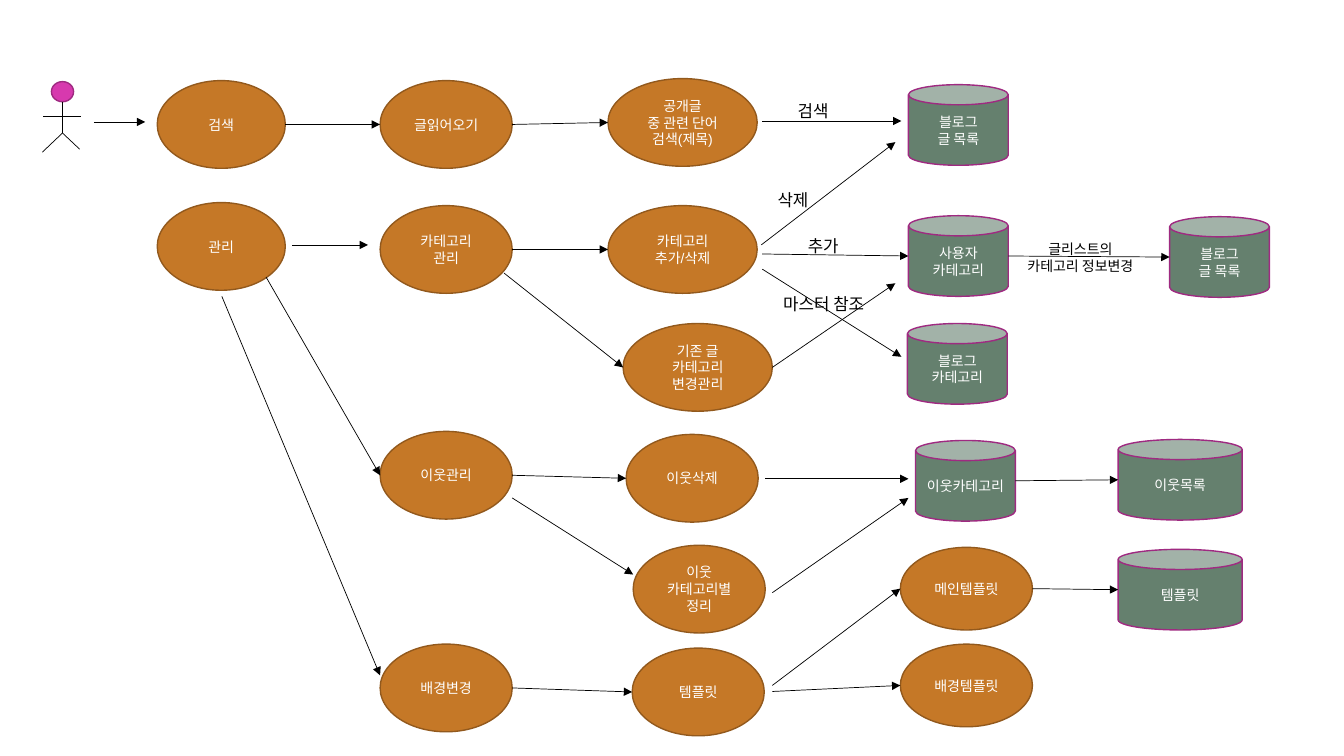
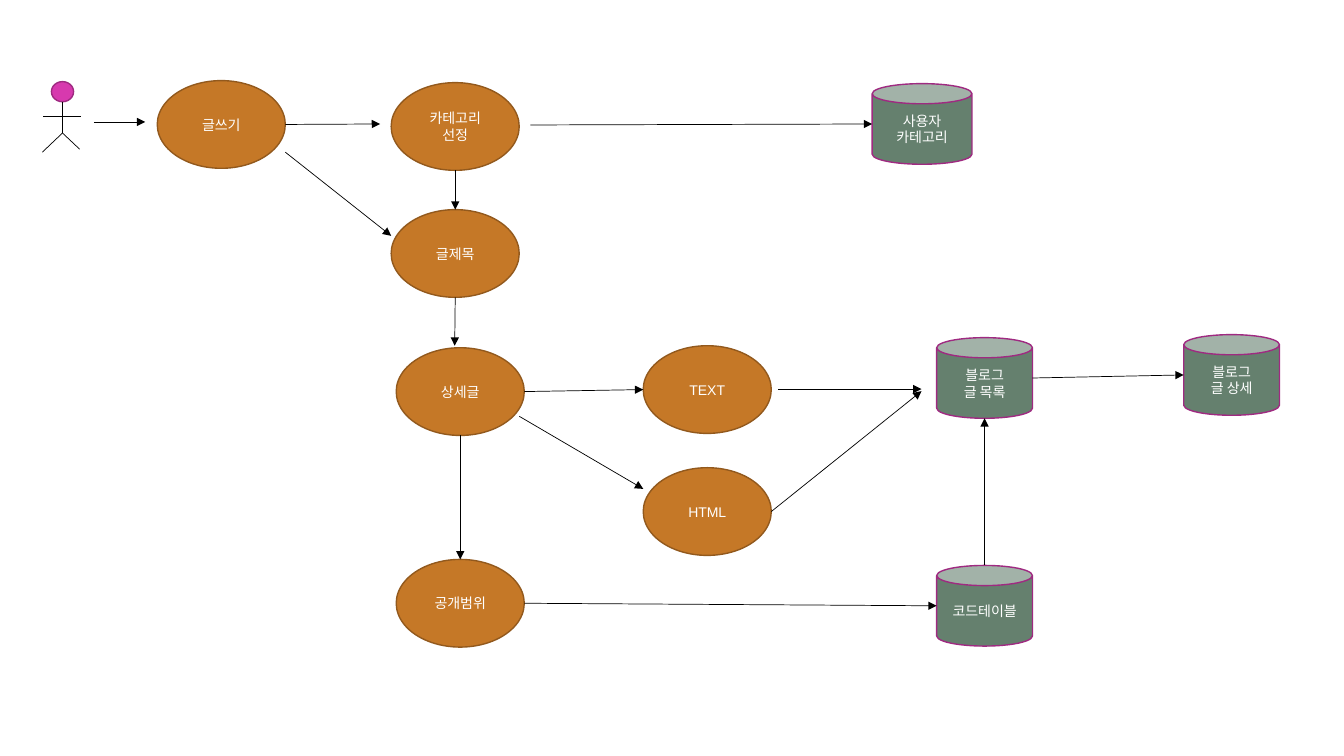
from lxml import etree
from pptx import Presentation
from pptx.dml.color import RGBColor
from pptx.enum import shapes, text
from pptx.oxml.ns import qn
from pptx.util import Pt

PX = 9144  # one px is a hundredth of an inch
FONT = "Arial"
ORANGE, BROWN = RGBColor(0xC5, 0x78, 0x27), RGBColor(0x92, 0x59, 0x1D)
GREEN, PURPLE = RGBColor(0x65, 0x80, 0x6E), RGBColor(0x9F, 0x2A, 0x81)
PINK = RGBColor(0xD7, 0x39, 0xAE)
BLACK, WHITE = RGBColor(0, 0, 0), RGBColor(0xFF, 0xFF, 0xFF)

OVAL, CAN = shapes.MSO_SHAPE.OVAL, shapes.MSO_SHAPE.CAN
STYLES = {OVAL: (ORANGE, BROWN), CAN: (GREEN, PURPLE)}
# Connection site numbers of each preset, and where a side lies in its frame
SITES = {
    OVAL: {"top": 0, "left": 2, "bottom": 4, "lower right": 5, "right": 6},
    CAN: {"top": 1, "left": 2, "bottom": 3, "right": 4},
}
SIDES = {"top": (0.5, 0), "left": (0, 0.5), "bottom": (0.5, 1),
         "right": (1, 0.5), "lower right": (0.85, 0.85)}

# Nodes: left, top, width, height, text
# Arrows: each end is a point or (node, side)
manage_page = {
    OVAL: {
        "search": (156, 80, 127, 87, "검색"),
        "read": (377, 80, 131, 87, "글읽어오기"),
        "public": (603, 78, 148, 87, "공개글\n중 관련 단어 검색(제목)"),
        "manage": (156, 201, 127, 87, "관리"),
        "category": (377, 204, 131, 87, "카테고리 관리"),
        "add or delete": (603, 204, 148, 87, "카테고리\n추가/삭제"),
        "change": (618, 321, 148, 87, "기존 글\n카테고리\n변경관리"),
        "neighbor": (377, 428, 131, 87, "이웃관리"),
        "neighbor delete": (621, 431, 131, 87, "이웃삭제"),
        "neighbor sort": (628, 541, 131, 87, "이웃\n카테고리별정리"),
        "background": (377, 639, 131, 87, "배경변경"),
        "template": (627, 643, 131, 87, "템플릿"),
        "main template": (893, 543, 131, 82, "메인템플릿"),
        "back template": (893, 639, 131, 82, "배경템플릿"),
    },
    CAN: {
        "posts": (901, 84, 99, 80, "블로그\n글 목록"),
        "user category": (901, 214, 99, 80, "사용자\n카테고리"),
        "blog category": (900, 321, 99, 80, "블로그\n카테고리"),
        "changed posts": (1160, 215, 99, 80, "블로그\n글 목록"),
        "neighbor category": (908, 437, 99, 80, "이웃카테고리"),
        "neighbor list": (1109, 436, 123, 80, "이웃목록"),
        "template table": (1109, 545, 123, 80, "템플릿"),
    },
    "arrows": [
        (("search", "right"), ("read", "left")),
        (("read", "right"), ("public", "left")),
        ((756, 120), (894, 120)),
        ((290, 243), (365, 243)),
        (("category", "right"), ("add or delete", "left")),
        ((500, 271), ("change", "left")),
        ((755, 243), (888, 141)),
        ((756, 252), ("user category", "left")),
        ((756, 267), (894, 354)),
        (("change", "right"), (888, 281)),
        (("user category", "right"), ("changed posts", "left")),
        (("manage", "lower right"), ("neighbor", "left")),
        ((220, 294), (377, 670)),
        (("neighbor", "right"), ("neighbor delete", "left")),
        ((508, 494), (628, 570)),
        ((759, 475), (901, 475)),
        ((766, 588), (901, 494)),
        (("neighbor category", "right"), ("neighbor list", "left")),
        (("background", "right"), ("template", "left")),
        ((766, 680), ("main template", "left")),
        ((766, 686), ("back template", "left")),
        (("main template", "right"), ("template table", "left")),
    ],
    "labels": [
        (766, 97, 81, 25, "검색", 12),
        (746, 186, 81, 25, "삭제", 12),
        (776, 231, 81, 25, "추가", 12),
        (759, 289, 116, 25, "마스터 참조", 12),
        (999, 229, 145, 52, "글리스트의\n카테고리 정보변경", 10),
    ],
}
write_page = {
    OVAL: {
        "write": (156, 80, 127, 87, "글쓰기"),
        "category": (388, 82, 127, 87, "카테고리\n선정"),
        "title": (388, 208, 127, 87, "글제목"),
        "detail": (393, 345, 127, 87, "상세글"),
        "scope": (393, 555, 127, 87, "공개범위"),
        "text": (638, 343, 127, 87, "TEXT"),
        "html": (638, 464, 127, 87, "HTML"),
    },
    CAN: {
        "user category": (865, 83, 99, 80, "사용자\n카테고리"),
        "posts": (929, 335, 95, 80, "블로그\n글 목록"),
        "post detail": (1174, 332, 95, 80, "블로그\n글 상세"),
        "codes": (929, 561, 95, 80, "코드테이블"),
    },
    "arrows": [
        (("write", "right"), (377, 123)),
        ((283, 151), (388, 234)),
        ((526, 124), ("user category", "left")),
        (("category", "bottom"), ("title", "top")),
        (("title", "bottom"), (451, 343)),
        (("detail", "right"), ("text", "left")),
        ((515, 413), (638, 485)),
        (("detail", "bottom"), ("scope", "top")),
        ((772, 386), (914, 386)),
        (("html", "right"), (914, 388)),
        (("scope", "right"), ("codes", "left")),
        (("codes", "top"), ("posts", "bottom")),
        (("posts", "right"), ("post detail", "left")),
    ],
    "labels": [],
}


def write_text(box, words, size, color):
    frame = box.text_frame
    frame.word_wrap = True
    frame.vertical_anchor = text.MSO_ANCHOR.MIDDLE
    frame.text = words
    for para in frame.paragraphs:
        para.alignment = text.PP_ALIGN.CENTER
        para.font.name = FONT
        para.font.size = Pt(size)
        para.font.color.rgb = color


def add_line(parent, start, end, arrow=False):
    points = [round(value * PX) for value in (*start, *end)]
    line = parent.shapes.add_connector(shapes.MSO_CONNECTOR.STRAIGHT, *points)
    line.line.color.rgb = BLACK
    line.line.width = Pt(0.5)
    if arrow:
        etree.SubElement(line.line._get_or_add_ln(), qn("a:tailEnd"), type="triangle")
    etree.SubElement(line._element.spPr, qn("a:effectLst"))
    return line


deck = Presentation()
deck.slide_width, deck.slide_height = 1333 * PX, 750 * PX

for content in (manage_page, write_page):
    page = deck.slides.add_slide(deck.slide_layouts[6])

    actor = page.shapes.add_group_shape()
    head = actor.shapes.add_shape(OVAL, 51 * PX, 81 * PX, 22 * PX, 20 * PX)
    head.shadow.inherit = False
    head.fill.solid()
    head.fill.fore_color.rgb = PINK
    head.line.color.rgb = PURPLE
    head.line.width = Pt(1)
    hip = (62, 132)
    for start, end in (((43, 115), (80, 115)), ((62, 101), hip),
                       (hip, (42, 151)), (hip, (79, 148))):
        add_line(actor, start, end)
    add_line(page, (93, 121), (144, 121), arrow=True)

    nodes = {}
    for kind, (fill, outline) in STYLES.items():
        for name, (*frame, words) in content[kind].items():
            box = page.shapes.add_shape(kind, *[value * PX for value in frame])
            box.shadow.inherit = False
            box.fill.solid()
            box.fill.fore_color.rgb = fill
            box.line.color.rgb = outline
            box.line.width = Pt(1)
            write_text(box, words, 10, WHITE)
            nodes[name] = (kind, frame, box.shape_id)

    for ends in content["arrows"]:
        points, joins = [], []
        for tag, (place, side) in zip(("a:stCxn", "a:endCxn"), ends):
            if place in nodes:
                kind, (left, top, width, height), shape_id = nodes[place]
                across, down = SIDES[side]
                points.append((left + across * width, top + down * height))
                joins.append((tag, shape_id, SITES[kind][side]))
            else:
                points.append((place, side))
        line = add_line(page, *points, arrow=True)
        # begin_connect knows only four sites, ovals have eight
        properties = line._element.nvCxnSpPr.cNvCxnSpPr
        for tag, shape_id, site in joins:
            etree.SubElement(properties, qn(tag), id=str(shape_id), idx=str(site))

    for *frame, words, size in content["labels"]:
        box = page.shapes.add_textbox(*[value * PX for value in frame])
        write_text(box, words, size, BLACK)

deck.save("out.pptx")
